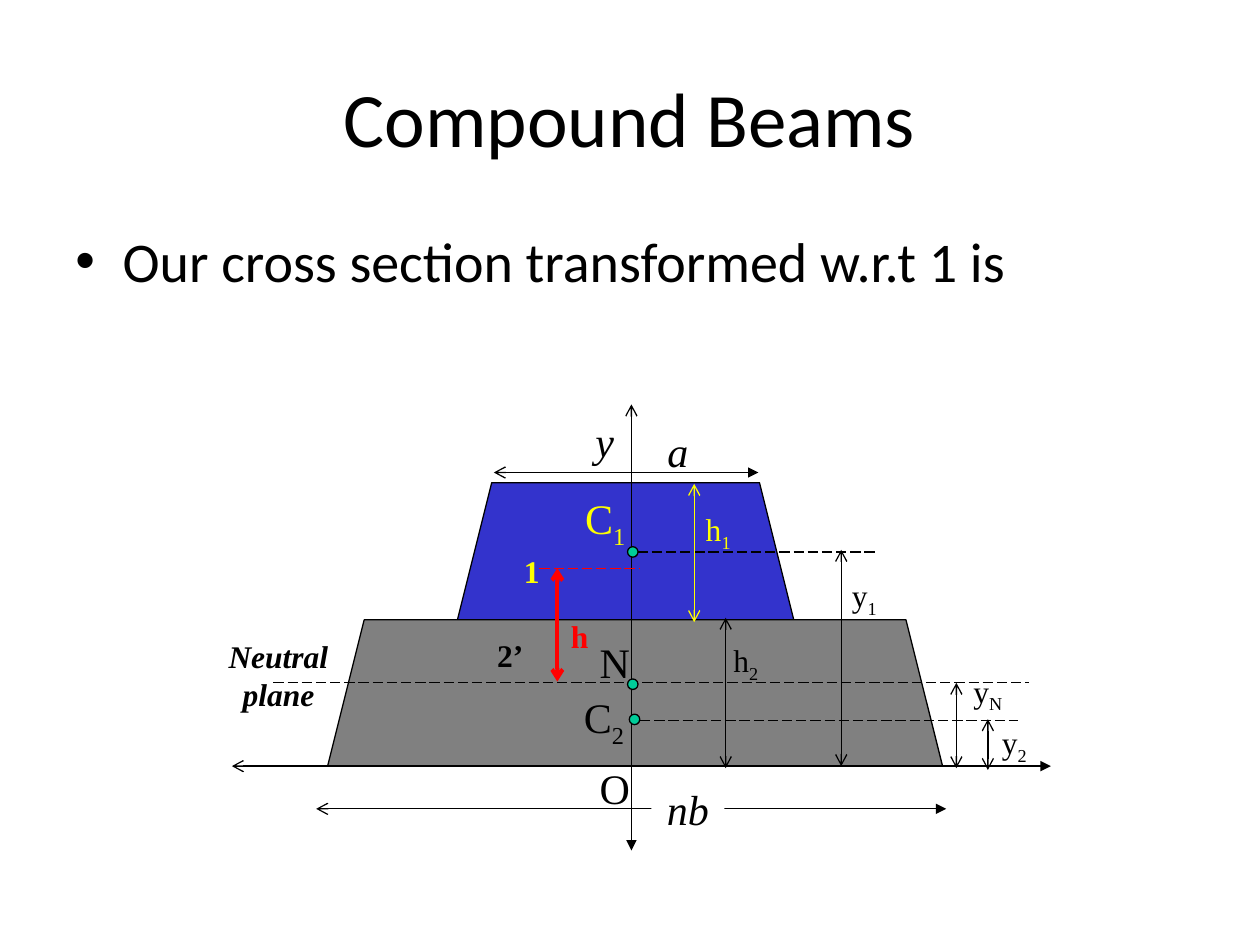
from pptx import Presentation
from pptx.dml.color import RGBColor
from pptx.enum.dml import MSO_LINE
from pptx.enum.shapes import MSO_CONNECTOR, MSO_SHAPE
from pptx.enum.text import MSO_ANCHOR, PP_ALIGN
from pptx.oxml.ns import qn
from pptx.util import Pt
from lxml import etree

STRAIGHT = MSO_CONNECTOR.STRAIGHT
TRAPEZOID, OVAL = MSO_SHAPE.TRAPEZOID, MSO_SHAPE.OVAL
LONG_DASH = MSO_LINE.LONG_DASH
CENTER, LEFT = PP_ALIGN.CENTER, PP_ALIGN.LEFT
MIDDLE, TOP = MSO_ANCHOR.MIDDLE, MSO_ANCHOR.TOP

COLORS = {
    "black": "000000", "white": "FFFFFF", "blue": "3333CC", "gray": "808080",
    "yellow": "FFFF00", "red": "FF0000", "green": "00CC99",
}
HEADING_FONT, LABEL_FONT = "Calibri", "Times New Roman"

TITLE = "Compound Beams"
BULLET = "Our cross section transformed w.r.t 1 is"

# Heights and axis shared by the parts of the section
BASE, TOP_EDGE, STEP = 437.8, 275.8, 354.2
CENTROID_1, NEUTRAL, CENTROID_2 = 315.4, 390.2, 411.8
H_TOP = 324.7
AXIS = 360.8

# left, top, width, fill; both trapezoids stand on the base
TRAPEZOIDS = [(240.5, TOP_EDGE, 234, "blue"), (187.2, STEP, 351.4, "gray")]

# start, end, color
AXES = [
    ((AXIS, 486), (AXIS, 231.1), "black"),
    ((600.5, BASE), (132.5, BASE), "black"),
    ((433.4, 270), (282.2, 270), "black"),
    ((540.7, 462.2), (180.7, 462.2), "black"),
]
DASHES = [
    ((156.2, NEUTRAL), (588.2, NEUTRAL), "black"),
    ((364.3, CENTROID_1), (501.1, CENTROID_1), "black"),
    ((365.8, CENTROID_2), (581.8, CENTROID_2), "black"),
    ((308.2, H_TOP), (365.8, H_TOP), "red"),
]
# x, bottom, top, color, width
DIMENSIONS = [
    (396.7, 355.5, 276.5, "yellow", 0.75),
    (414.7, 439, 353, "black", 0.75),
    (480.7, BASE, 314.2, "black", 0.75),
    (546.5, 439, NEUTRAL, "black", 0.75),
    (564.5, 440, 411, "black", 0.75),
    (318.5, 389.5, H_TOP, "red", 2.25),
]
# center x, center y
DOTS = [(361.6, CENTROID_1), (362.6, 411.1), (361.6, 391)]

# text, subscript, left, top, width, height, size, color, style
LABELS = [
    ("1", "", 288.7, 311.8, 30.2, 30, 18, "yellow", "b"),
    ("2’", "", 276.5, 360, 30.2, 30, 18, "black", "b"),
    ("y", "", 330.5, 234, 30.2, 36, 24, "black", "i"),
    ("O", "", 335.5, 432, 30.2, 36, 24, "black", ""),
    ("N", "", 335.5, 360, 30.2, 36, 24, "black", ""),
    ("h", "1", 395.3, 288, 30.2, 29, 18, "yellow", ""),
    ("h", "2", 411.1, 362.9, 30.2, 29, 18, "black", ""),
    ("Neutral plane", "", 120.2, 360.7, 77.8, 51, 18, "black", "bi"),
    ("C", "1", 321.8, 277.9, 48.2, 37, 24, "yellow", ""),
    ("C", "2", 321.1, 391.7, 48.2, 37, 24, "black", ""),
    ("y", "1", 478.8, 325.4, 30.2, 29, 18, "black", ""),
    ("y", "N", 546.5, 380.2, 36, 29, 18, "black", ""),
    ("y", "2", 564.5, 409.7, 30.2, 29, 18, "black", ""),
    ("h", "", 316.1, 349.2, 30.2, 29, 18, "red", "b"),
    ("a", "", 372.2, 239.8, 30.2, 37, 24, "black", "i"),
    ("nb", "", 372.2, 444.2, 41.8, 37, 24, "black", "i"),
]


def rgb(name):
    return RGBColor.from_string(COLORS[name])


def add_text(slide, box, text, font_name, size, color="black", style="",
             subscript="", align=CENTER, anchor=TOP, bullet=False):
    shape = slide.shapes.add_textbox(*map(Pt, box))
    frame = shape.text_frame
    frame.word_wrap = True
    frame.vertical_anchor = anchor
    paragraph = frame.paragraphs[0]
    if bullet:
        properties = paragraph._p.get_or_add_pPr()
        properties.set("marL", str(Pt(27)))
        properties.set("indent", str(-Pt(27)))
        etree.SubElement(properties, qn("a:buFont")).set("typeface", "Arial")
        etree.SubElement(properties, qn("a:buChar")).set("char", "•")
    paragraph.alignment = align
    paragraph.add_run().text = text
    if subscript:
        run = paragraph.add_run()
        run.text = subscript
        run._r.get_or_add_rPr().set("baseline", "-25000")
    font = paragraph.font
    font.name, font.size = font_name, Pt(size)
    font.color.rgb = rgb(color)
    font.bold, font.italic = "b" in style, "i" in style
    return shape


def add_shape(slide, kind, box, fill):
    shape = slide.shapes.add_shape(kind, *map(Pt, box))
    shape.shadow.inherit = False
    shape.fill.solid()
    shape.fill.fore_color.rgb = rgb(fill)
    shape.line.color.rgb = rgb("black")
    shape.line.width = Pt(0.75)
    return shape


def add_line(slide, start, end, color, width=0.75, head=None, tail=None, dash=None):
    connector = slide.shapes.add_connector(STRAIGHT, *map(Pt, start + end))
    line = connector.line
    line.color.rgb = rgb(color)
    line.width = Pt(width)
    if dash:
        line.dash_style = dash
    outline = line._get_or_add_ln()
    for tag, arrow in (("a:headEnd", head), ("a:tailEnd", tail)):
        if arrow:
            etree.SubElement(outline, qn(tag)).set("type", arrow)
    etree.SubElement(connector._element.spPr, qn("a:effectLst"))


def main():
    presentation = Presentation()
    presentation.slide_width, presentation.slide_height = Pt(720), Pt(540)
    slide = presentation.slides.add_slide(presentation.slide_layouts[6])

    # Heading and bullet
    add_text(slide, (36, 21.6, 648, 90), TITLE, HEADING_FONT, 44, anchor=MIDDLE)
    add_text(slide, (36, 126, 648, 356.4), BULLET, HEADING_FONT, 32,
             align=LEFT, bullet=True)

    # Cross section
    for left, top, width, fill in TRAPEZOIDS:
        trapezoid = add_shape(slide, TRAPEZOID, (left, top, width, BASE - top), fill)
        trapezoid.adjustments[0] = 0.25

    # Axes, reference lines and dimensions
    for start, end, color in AXES:
        add_line(slide, start, end, color, head="triangle", tail="arrow")
    for start, end, color in DASHES:
        add_line(slide, start, end, color, dash=LONG_DASH)
    for x, bottom, top, color, width in DIMENSIONS:
        add_line(slide, (x, bottom), (x, top), color, width, "arrow", "arrow")

    # Centroids and neutral point
    for x, y in DOTS:
        add_shape(slide, OVAL, (x - 3, y - 3, 6, 6), "green")

    # Labels; the base width label interrupts its dimension line
    for text, subscript, left, top, width, height, size, color, style in LABELS:
        label = add_text(slide, (left, top, width, height), text, LABEL_FONT,
                         size, color, style, subscript)
        if text == "nb":
            label.fill.solid()
            label.fill.fore_color.rgb = rgb("white")

    presentation.save("out.pptx")


if __name__ == "__main__":
    main()
